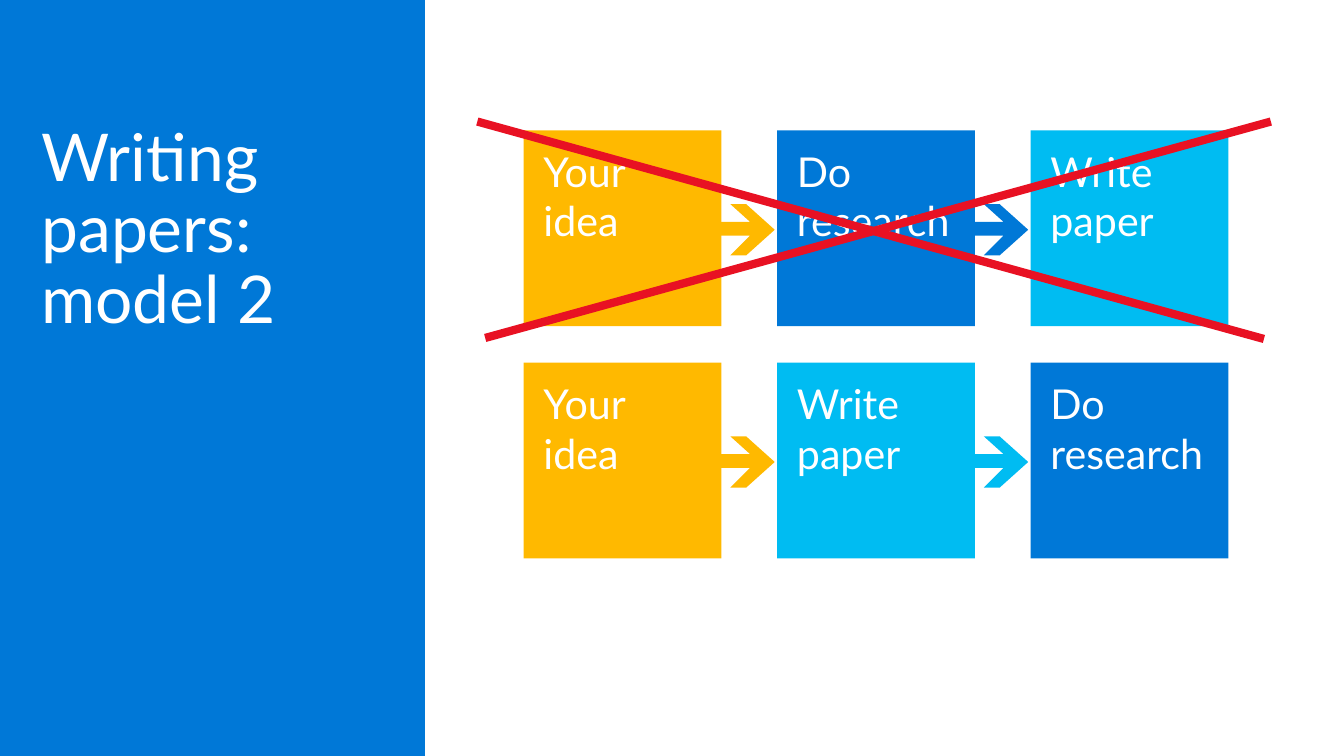
from lxml.etree import SubElement
from pptx import Presentation
from pptx.dml.color import RGBColor
from pptx.enum.shapes import MSO_CONNECTOR, MSO_SHAPE
from pptx.enum.text import MSO_ANCHOR, MSO_AUTO_SIZE, PP_ALIGN
from pptx.oxml.ns import qn
from pptx.util import Inches, Pt

BLUE = RGBColor(0x00, 0x78, 0xD7)
YELLOW = RGBColor(0xFF, 0xB9, 0x00)
CYAN = RGBColor(0x00, 0xBC, 0xF2)
RED = RGBColor(0xE8, 0x11, 0x23)
WHITE = RGBColor(0xFF, 0xFF, 0xFF)


def write_text(shape, text, size, inset_x, inset_y, line_spacing=1.0):
    frame = shape.text_frame
    frame.word_wrap = True
    frame.auto_size = MSO_AUTO_SIZE.NONE
    frame.vertical_anchor = MSO_ANCHOR.TOP
    frame.margin_left = frame.margin_right = Inches(inset_x)
    frame.margin_top = frame.margin_bottom = Inches(inset_y)
    paragraph = frame.paragraphs[0]
    paragraph.alignment = PP_ALIGN.LEFT
    paragraph.line_spacing = line_spacing
    paragraph.space_before = Pt(0)
    run = paragraph.add_run()
    run.text = text
    run.font.name = "Lato"
    run.font.size = Pt(size)
    run.font.color.rgb = WHITE


def paint(shape, color):
    shape.shadow.inherit = False
    shape.fill.solid()
    shape.fill.fore_color.rgb = color
    shape.line.fill.background()


presentation = Presentation()
presentation.slide_width = Inches(13.6)
presentation.slide_height = Inches(7.65)
slide = presentation.slides.add_slide(presentation.slide_layouts[5])
shapes = slide.shapes

title = shapes.title
title.left, title.top = Inches(0.26), Inches(1.16)
title.width, title.height = Inches(3.78), Inches(2.38)
write_text(title, "Writing papers: model 2", 48, 0.16, 0.1, line_spacing=0.9)

panel = shapes.add_shape(MSO_SHAPE.RECTANGLE, 0, 0, Inches(4.3), presentation.slide_height)
paint(panel, BLUE)
title._element.addprevious(panel._element)

IDEA = ("Your idea", YELLOW)
RESEARCH = ("Do research", BLUE)
PAPER = ("Write paper", CYAN)
MODELS = [(1.32, [IDEA, RESEARCH, PAPER]), (3.67, [IDEA, PAPER, RESEARCH])]
STEP_LEFT, STEP_PITCH = 5.3, 2.565
ARROW_OUTLINE = [
    (0.46, 0.18), (0.26, 0), (0.42, 0), (0.71, 0.26), (0.42, 0.52),
    (0.26, 0.52), (0.46, 0.32), (0, 0.32), (0, 0.18),
]

for top, steps in MODELS:
    for column, (label, color) in enumerate(steps):
        left = STEP_LEFT + column * STEP_PITCH
        step = shapes.add_shape(
            MSO_SHAPE.RECTANGLE, Inches(left), Inches(top), Inches(2), Inches(1.98))
        paint(step, color)
        write_text(step, label, 30, 0.2, 0.16)

    for column, (label, color) in enumerate(steps[:-1]):
        left = STEP_LEFT + column * STEP_PITCH + 1.83
        points = [(Inches(left + x), Inches(top + 0.745 + y)) for x, y in ARROW_OUTLINE]
        builder = shapes.build_freeform(*points[0])
        builder.add_line_segments(points[1:], close=True)
        paint(builder.convert_to_shape(), color)

CROSS_STROKES = [(4.83, 1.23, 12.79, 3.43), (4.91, 3.42, 12.86, 1.23)]
for ends in CROSS_STROKES:
    stroke = shapes.add_connector(MSO_CONNECTOR.STRAIGHT, *map(Inches, ends))
    stroke.line.color.rgb = RED
    stroke.line.width = Pt(6)
    SubElement(stroke._element.spPr, qn("a:effectLst"))

presentation.save("out.pptx")
